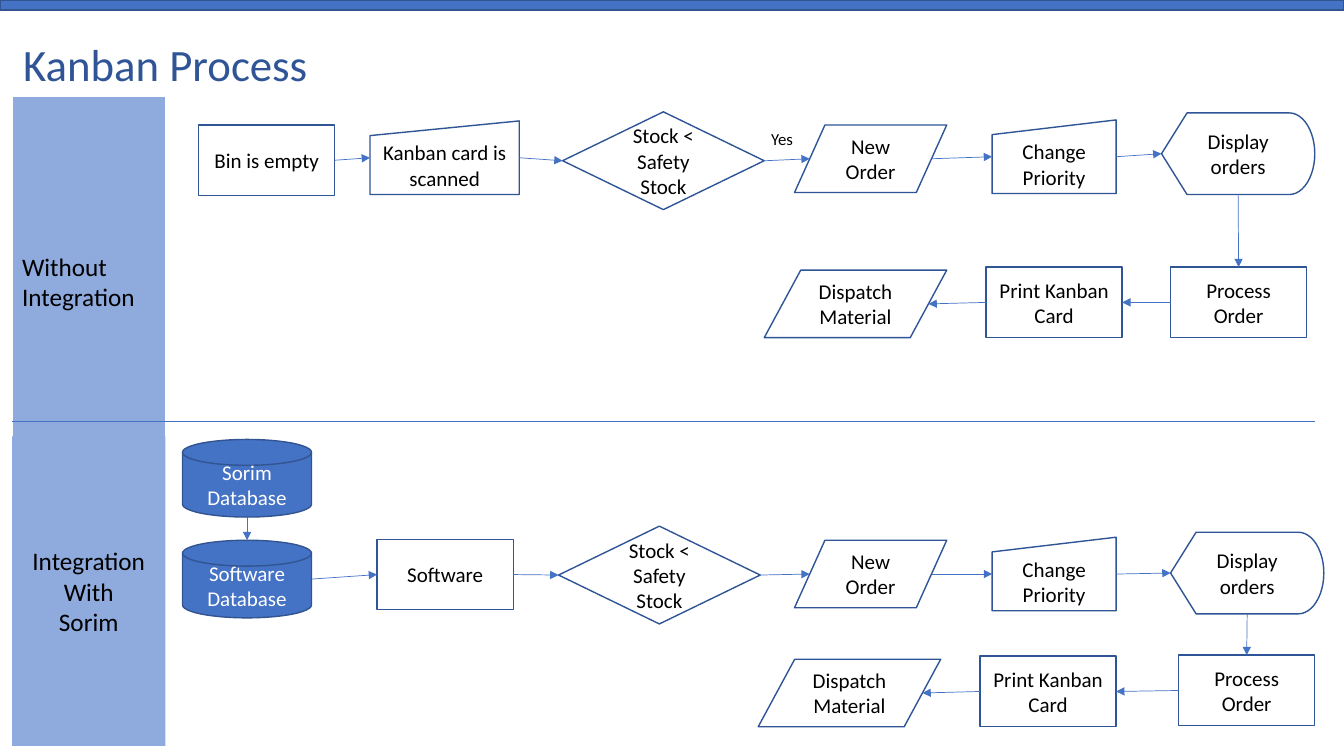
"""Build the Kanban process slide with its two flow chart lanes."""
from pptx import Presentation
from pptx.dml.color import RGBColor
from pptx.enum.shapes import MSO_CONNECTOR, MSO_SHAPE
from pptx.enum.text import MSO_ANCHOR, MSO_AUTO_SIZE, PP_ALIGN
from pptx.oxml import parse_xml
from pptx.oxml.ns import nsdecls, qn
from pptx.util import Inches, Pt

HUES = {"blue": "4472C4", "edge": "325491", "navy": "2F5597",
        "band": "8FAADC", "white": "FFFFFF", "black": "000000"}
FONT = "Calibri"
TITLE = "Kanban Process"

BANDS = [
    (["Without Integration"], (0.12, 0.96, 1.52, 3.66), "white", PP_ALIGN.LEFT),
    (["Integration", "With", "Sorim"], (0.12, 4.33, 1.52, 3.07), None, PP_ALIGN.CENTER),
]

KINDS = {
    "step": (MSO_SHAPE.FLOWCHART_PROCESS, 1.35, 0.7),
    "scan": (MSO_SHAPE.FLOWCHART_MANUAL_INPUT, 1.48, 0.73),
    "input": (MSO_SHAPE.FLOWCHART_MANUAL_INPUT, 1.23, 0.73),
    "test": (MSO_SHAPE.FLOWCHART_DECISION, 2, 0.97),
    "order": (MSO_SHAPE.FLOWCHART_DATA, 1.51, 0.67),
    "goods": (MSO_SHAPE.FLOWCHART_DATA, 1.81, 0.67),
    "show": (MSO_SHAPE.FLOWCHART_DISPLAY, 1.52, 0.81),
    "disk": (MSO_SHAPE.FLOWCHART_MAGNETIC_DISK, 1.28, 0.77),
}

TAIL = [("test", "Stock < Safety Stock"), ("order", "New Order"),
        ("input", "Change Priority"), ("show", "Display orders"),
        ("step", "Process Order"), ("step", "Print Kanban Card"),
        ("goods", "Dispatch Material")]
TURN = ["right"] * 4 + ["down"] + ["left"] * 2
LANES = [
    ([("step", "Bin is empty"), ("scan", "Kanban card is scanned")] + TAIL,
     [(1.97, 1.24), (3.67, 1.2), (5.58, 1.11), (7.88, 1.24), (9.84, 1.19),
      (11.52, 1.12), (11.61, 2.65), (9.78, 2.65), (7.58, 2.68)],
     ["right"] + TURN),
    ([("disk", "Sorim Database"), ("disk", "Software Database"),
      ("step", "Software")] + TAIL,
     [(1.81, 4.36), (1.81, 5.36), (3.74, 5.35), (5.54, 5.22), (7.88, 5.36),
      (9.84, 5.33), (11.61, 5.28), (11.69, 6.5), (9.72, 6.51), (7.52, 6.54)],
     ["down", "right"] + TURN),
]

ENDS = {"right": (3, 1), "left": (1, 3), "down": (2, 0)}
SITES = {MSO_SHAPE.FLOWCHART_DATA: (1, 2, 4, 5),
         MSO_SHAPE.FLOWCHART_MAGNETIC_DISK: (1, 2, 3, 4)}


def hue(name):
    return RGBColor.from_string(HUES[name])


def write(frame, lines, size, ink, align):
    for i, text in enumerate(lines):
        para = frame.paragraphs[0] if i == 0 else frame.add_paragraph()
        para.alignment = align
        run = para.add_run()
        run.text = text
        run.font.name, run.font.size = FONT, Pt(size)
        run.font.color.rgb = hue(ink)


def shape(kind, spot, fill, edge=None, width=1.0):
    item = slide.shapes.add_shape(kind, *map(Inches, spot))
    item.shadow.inherit = False
    item.fill.solid()
    item.fill.fore_color.rgb = hue(fill)
    if edge:
        item.line.color.rgb = hue(edge)
        item.line.width = Pt(width)
    else:
        item.line.fill.background()
    item.text_frame.vertical_anchor = MSO_ANCHOR.MIDDLE
    return item


def node(kind, text, spot):
    form, wide, high = KINDS[kind]
    fill, edge, ink = (("blue", "edge", "white") if kind == "disk"
                       else ("white", "navy", "black"))
    item = shape(form, (*spot, wide, high), fill, edge)
    write(item.text_frame, [text], 15, ink, PP_ALIGN.CENTER)
    return item


def rule(start=(0, 0), end=(0, 0)):
    line = slide.shapes.add_connector(MSO_CONNECTOR.STRAIGHT,
                                      *map(Inches, start + end))
    line.line.color.rgb = hue("blue")
    line.line.width = Pt(0.5)
    line._element.spPr.append(parse_xml(f"<a:effectLst {nsdecls('a')}/>"))
    return line


def slant(item, side):
    if item.auto_shape_type != MSO_SHAPE.FLOWCHART_DATA:
        return 0
    return {1: 1, 3: -1}.get(side, 0) * item.width // 10


def arrow(first, last, way):
    line = rule()
    out, into = ENDS[way]
    line.begin_connect(first, out)
    line.end_connect(last, into)
    line.begin_x += slant(first, out)
    line.end_x += slant(last, into)
    glue = line._element.nvCxnSpPr.cNvCxnSpPr
    for end, item, side in ((glue.stCxn, first, out), (glue.endCxn, last, into)):
        end.idx = SITES.get(item.auto_shape_type, range(4))[side]
    stroke = line._element.spPr.find(qn("a:ln"))
    stroke.append(parse_xml(f'<a:tailEnd {nsdecls("a")} type="triangle"/>'))


deck = Presentation()
deck.slide_width, deck.slide_height = Inches(13.33), Inches(7.5)
slide = deck.slides.add_slide(deck.slide_layouts[5])

title = slide.shapes.title
title.left, title.top, title.width, title.height = map(Inches, (0.13, 0.28, 10, 0.68))
title.text_frame.vertical_anchor = MSO_ANCHOR.BOTTOM
write(title.text_frame, [TITLE], 32, "navy", PP_ALIGN.LEFT)
title.text_frame.paragraphs[0].line_spacing = 0.9

shape(MSO_SHAPE.RECTANGLE, (0, 0, 13.33, 0.1), "blue", "edge")
for lines, spot, edge, align in BANDS:
    band = shape(MSO_SHAPE.RECTANGLE, spot, "band", edge, 0.75)
    write(band.text_frame, lines, 18, "black", align)
rule((0.12, 4.18), (13.04, 4.18))

for steps, spots, ways in LANES:
    nodes = [node(*step, spot) for step, spot in zip(steps, spots)]
    for first, last, way in zip(nodes, nodes[1:], ways):
        arrow(first, last, way)

label = slide.shapes.add_textbox(*map(Inches, (7.55, 1.23, 0.42, 0.3)))
label.text_frame.word_wrap = False
label.text_frame.auto_size = MSO_AUTO_SIZE.SHAPE_TO_FIT_TEXT
write(label.text_frame, ["Yes"], 12, "black", PP_ALIGN.LEFT)

deck.save("out.pptx")
